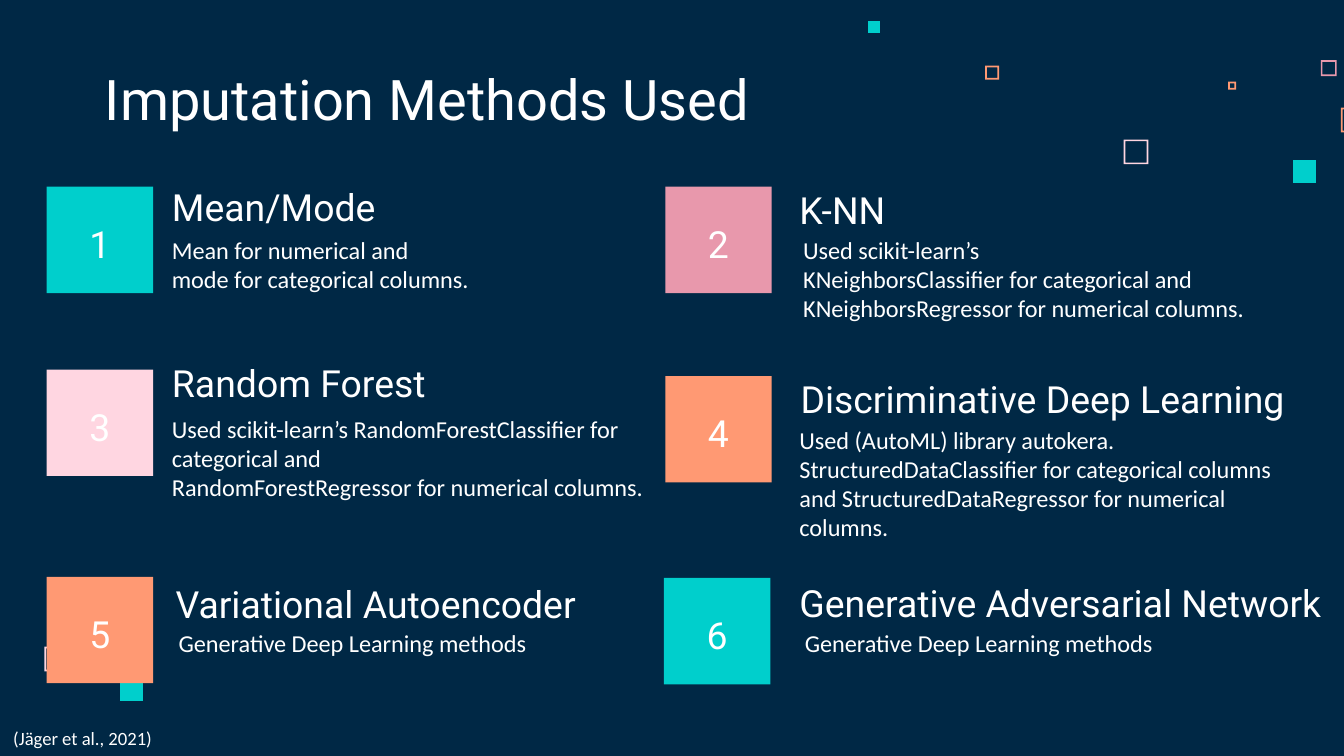
from pptx import Presentation
from pptx.dml.color import RGBColor
from pptx.enum.shapes import MSO_SHAPE
from pptx.enum.text import MSO_ANCHOR, MSO_AUTO_SIZE, PP_ALIGN
from pptx.util import Pt

COLORS = {
    "navy": "002845", "white": "FFFFFF", "teal": "00CFCC",
    "rose": "E898AC", "blush": "FFD6E1", "orange": "FF9973",
}
TITLE = "Imputation Methods Used"
CITATION = "(Jäger et al., 2021)"

# Square: color, left, top. Heading and body: left, top, width, height
METHODS = [
    {"square": ("teal", 25, 100),
     "heading": ("Mean/Mode", (85, 95, 198, 32)),
     "body": (["Mean for numerical and", "mode for categorical columns."],
              (85, 122.4, 222, 39))},
    {"square": ("rose", 356.4, 100),
     "heading": ("K-NN", (421.2, 96.5, 180, 32)),
     "body": (["Used scikit-learn’s",
               "KNeighborsClassifier for categorical and "
               "KNeighborsRegressor for numerical columns."],
              (423.2, 122.4, 314, 55))},
    {"square": ("blush", 25, 198),
     "heading": ("Random Forest", (85, 189.4, 234, 32)),
     "body": (["Used scikit-learn’s RandomForestClassifier for categorical and",
               "RandomForestRegressor for numerical columns."],
              (85, 218.2, 271, 70))},
    {"square": ("orange", 356.4, 201.5),
     "heading": ("Discriminative Deep Learning", (421.8, 198, 280, 32)),
     "body": (["Used (AutoML) library autokera. StructuredDataClassifier for "
               "categorical columns and StructuredDataRegressor for "
               "numerical columns."],
              (421.2, 224.2, 287, 70))},
    {"square": ("orange", 25, 309),
     "heading": ("Variational Autoencoder", (87, 307.6, 241, 32)),
     "body": (["Generative Deep Learning methods"], (88.6, 332.8, 250, 23))},
    {"square": ("teal", 355.7, 309.6),
     "heading": ("Generative Adversarial Network", (421.2, 307.4, 318, 32)),
     "body": (["Generative Deep Learning methods"], (424.1, 333, 250, 23))},
]

# Small background squares: color, left, top, size, hollow
CONFETTI = [
    ("blush", 602, 74.8, 13.2, True),
    ("rose", 707.6, 32.3, 8.5, True),
    ("orange", 658, 43.8, 4.2, True),
    ("orange", 718.4, 57.7, 13.2, True),
    ("teal", 692.6, 85.7, 12.4, False),
    ("orange", 527.8, 35.2, 7.4, True),
    ("teal", 465, 11.3, 6.5, False),
    ("blush", 23.8, 346.5, 13.2, True),
    ("teal", 64.2, 363.2, 12.4, False),
]
SQUARE = 57
FRAME = 0.9


def color(name):
    return RGBColor.from_string(COLORS[name])


def paint(shape, name):
    shape.fill.solid()
    shape.fill.fore_color.rgb = color(name)
    shape.line.fill.background()
    shape.shadow.inherit = False


def corners(left, top, size):
    return [(Pt(left + dx * size), Pt(top + dy * size))
            for dx, dy in ((0, 0), (0, 1), (1, 1), (1, 0))]


def add_confetti(page, name, left, top, size, hollow):
    outer = corners(left, top, size)
    builder = page.shapes.build_freeform(*outer[0], scale=1.0)
    builder.add_line_segments(outer[1:], close=True)
    if hollow:
        inner = corners(left + FRAME, top + FRAME, size - 2 * FRAME)[::-1]
        builder.move_to(*inner[0])
        builder.add_line_segments(inner[1:], close=True)
    paint(builder.convert_to_shape(), name)


def place(box, left, top, width, height):
    box.left, box.top, box.width, box.height = map(Pt, (left, top, width, height))


def write(box, lines, size, font, align=PP_ALIGN.LEFT, anchor=MSO_ANCHOR.TOP, inset=3.6):
    frame = box.text_frame
    frame.word_wrap = True
    frame.auto_size = MSO_AUTO_SIZE.NONE
    frame.vertical_anchor = anchor
    frame.margin_left = frame.margin_right = Pt(7.2)
    frame.margin_top = frame.margin_bottom = Pt(inset)
    frame.text = "\n".join(lines)
    for para in frame.paragraphs:
        para.alignment = align
        para.font.size = Pt(size)
        para.font.name = font
        para.font.color.rgb = color("white")


def add_text(page, bounds, lines, size, font, **options):
    box = page.shapes.add_textbox(*map(Pt, bounds))
    write(box, lines, size, font, **options)


def add_method(page, number, method):
    name, left, top = method["square"]
    paint(page.shapes.add_shape(MSO_SHAPE.RECTANGLE, Pt(left), Pt(top),
                                Pt(SQUARE), Pt(SQUARE)), name)
    add_text(page, (left + 8.4, top + 15, 40.2, 34.6), [str(number)], 20, "Roboto",
             align=PP_ALIGN.CENTER, anchor=MSO_ANCHOR.BOTTOM, inset=7.2)
    heading, bounds = method["heading"]
    add_text(page, bounds, [heading], 20, "Roboto")
    lines, bounds = method["body"]
    add_text(page, bounds, lines, 13, "Calibri")


def main():
    deck = Presentation()
    deck.slide_width, deck.slide_height = Pt(720), Pt(405)
    page = deck.slides.add_slide(deck.slide_layouts[5])
    page.background.fill.solid()
    page.background.fill.fore_color.rgb = color("navy")

    # Background decoration
    for piece in CONFETTI:
        add_confetti(page, *piece)

    # Title
    title = page.shapes.title
    place(title, 49, 32.4, 463.7, 45.4)
    write(title, [TITLE], 30, "Roboto", anchor=MSO_ANCHOR.BOTTOM, inset=7.2)

    # Numbered methods
    for number, method in enumerate(METHODS, 1):
        add_method(page, number, method)

    # Citation
    add_text(page, (0, 385.7, 347, 19.3), [CITATION], 10, "Calibri")
    deck.save("out.pptx")


if __name__ == "__main__":
    main()
